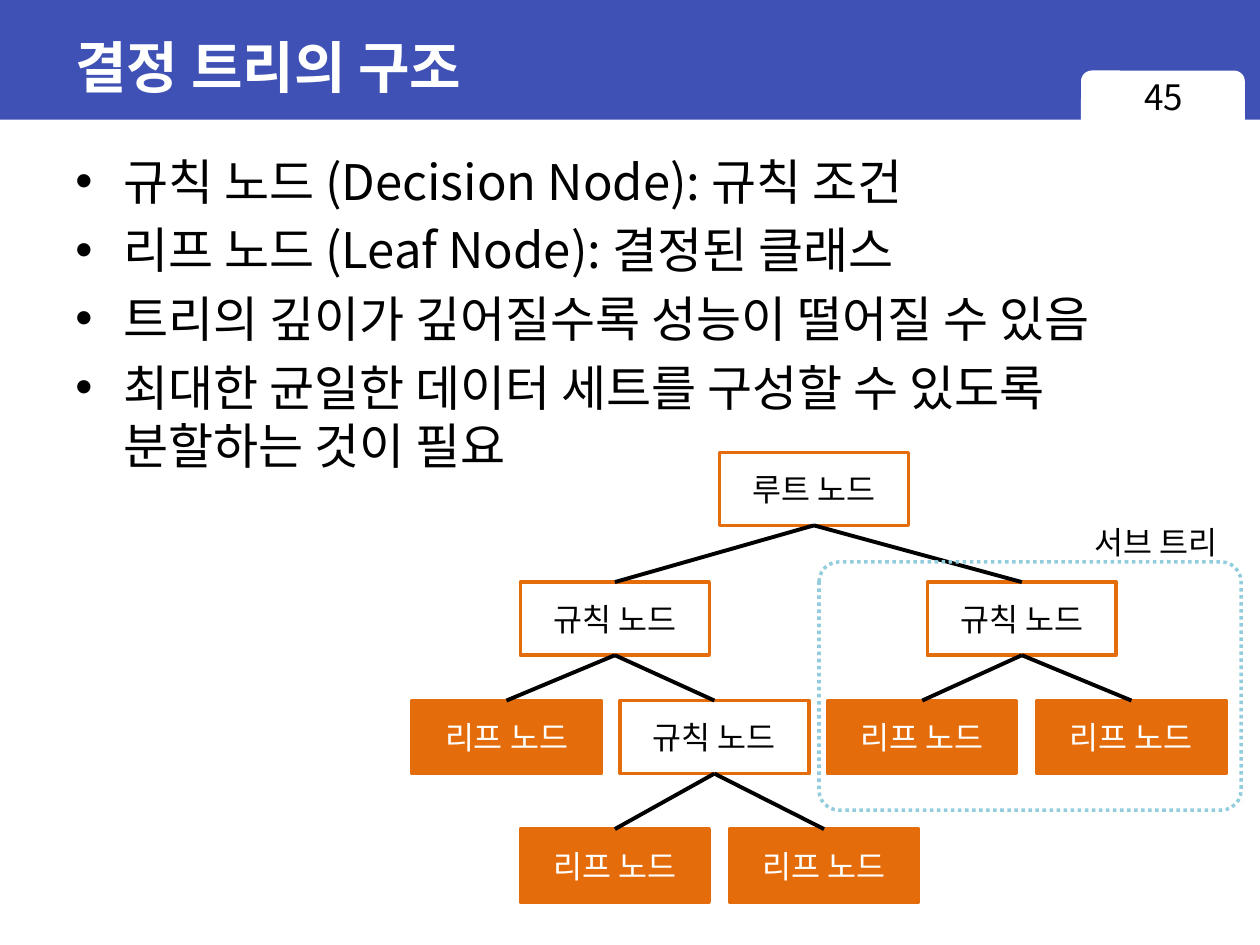
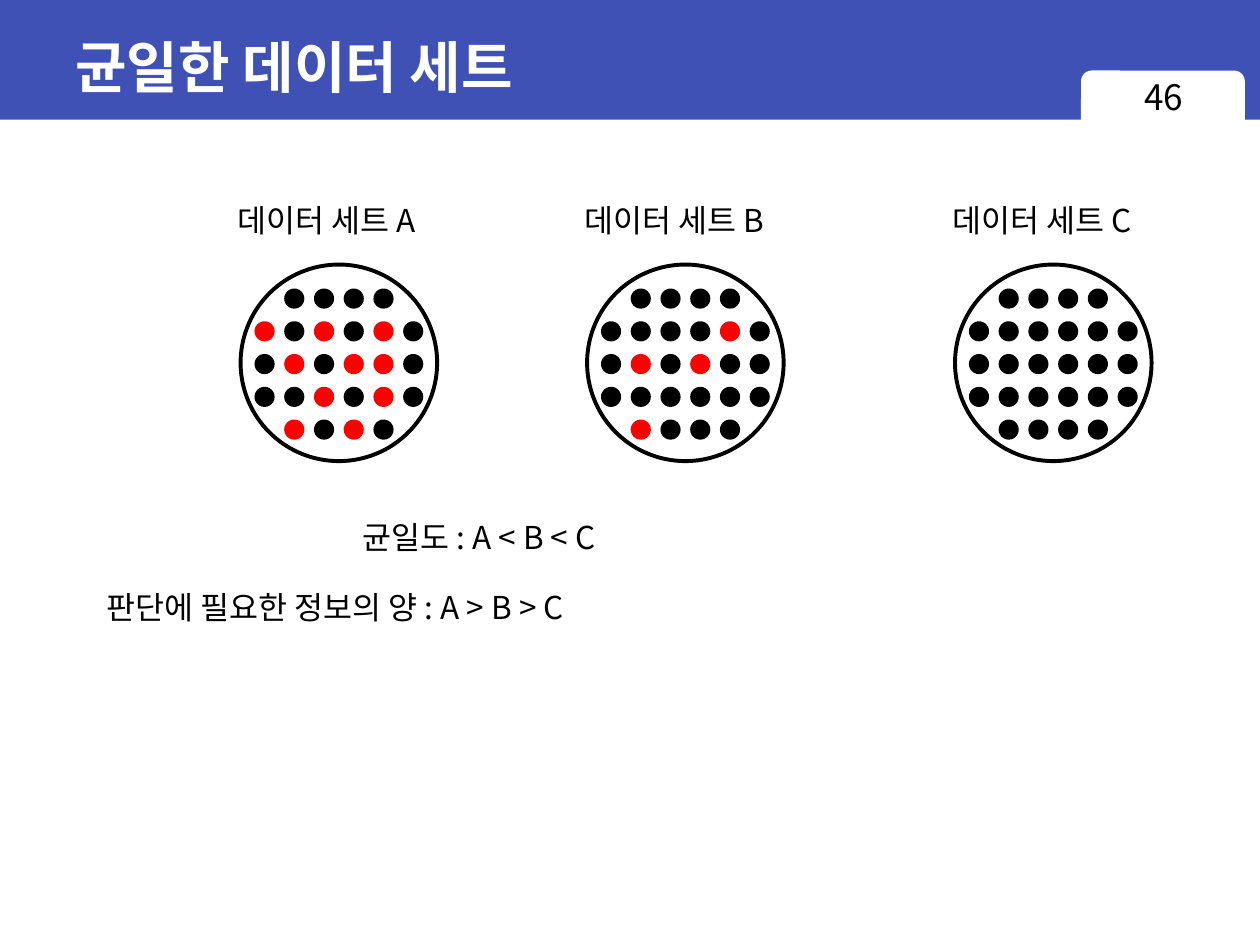
from dataclasses import dataclass
from typing import Any, NamedTuple

from lxml import etree
from pptx import Presentation
from pptx import util as u
from pptx.dml import color as col
from pptx.enum import dml, shapes, text
from pptx.oxml import ns

KIND = shapes.MSO_SHAPE
MID = text.MSO_ANCHOR.MIDDLE
CENTER = text.PP_ALIGN.CENTER


# Theme
@dataclass(frozen=True)
class Theme:
    blue: str = "3F51B5"
    orange: str = "E46C0A"
    sky: str = "93CDDD"
    red: str = "FF0000"
    black: str = "000000"
    white: str = "FFFFFF"
    font: str = "Noto Sans CJK KR"
    head: str = "Arial"
    title: int = 32
    body: int = 28
    page: int = 20
    label: int = 18
    edge: float = 2
    line: float = 2.25


T = Theme()


class Box(NamedTuple):
    x: float
    y: float
    w: float
    h: float


class Node(NamedTuple):
    key: str
    x: float
    row: int
    up: str
    leaf: bool


class Data(NamedTuple):
    name: str
    x: float
    rows: tuple[str, ...]


# Helpers
def rgb(code: str) -> col.RGBColor:
    return col.RGBColor.from_string(code)


def apply(obj: Any, vals: dict[str, Any]) -> None:
    for key, val in vals.items():
        setattr(obj, key, val)


def place(box: Box) -> list[u.Length]:
    return [u.Inches(v) for v in box]


def write(para: Any, words: str, size: int, color: str = T.black,
          font: str = T.font, bold: bool = False) -> None:
    run = para.add_run()
    run.text = words
    apply(run.font, {"size": u.Pt(size), "name": font, "bold": bold})
    run.font.color.rgb = rgb(color)
    east = etree.SubElement(run.font._element, ns.qn("a:ea"))
    east.set("typeface", T.font)


def shape(host: Any, kind: Any, box: Box, fill: str = "",
          edge: str = "", width: float = T.edge) -> Any:
    item = host.add_shape(kind, *place(box))
    item.shadow.inherit = False
    if fill:
        item.fill.solid()
        item.fill.fore_color.rgb = rgb(fill)
    else:
        item.fill.background()
    if edge:
        item.line.color.rgb = rgb(edge)
        item.line.width = u.Pt(width)
    else:
        item.line.fill.background()
    return item


def label(slide: Any, words: str, box: Box) -> None:
    frame = slide.shapes.add_textbox(*place(box)).text_frame
    apply(frame, {"word_wrap": False,
                  "auto_size": text.MSO_AUTO_SIZE.SHAPE_TO_FIT_TEXT})
    write(frame.paragraphs[0], words, T.label)


def link(slide: Any, top: Any, low: Any) -> None:
    line = slide.shapes.add_connector(shapes.MSO_CONNECTOR.STRAIGHT, 0, 0, 0, 0)
    line.begin_connect(top, 2)
    line.end_connect(low, 0)
    line.line.color.rgb = rgb(T.black)
    line.line.width = u.Pt(T.line)
    etree.SubElement(line._element.spPr, ns.qn("a:effectLst"))


# Shared band, title and page tab
def start(deck: Any, title: str, page: int) -> Any:
    slide = deck.slides.add_slide(deck.slide_layouts[6])
    shape(slide.shapes, KIND.RECTANGLE, Box(0, 0, 10, 0.95), T.blue)
    shape(slide.shapes, KIND.ROUNDED_RECTANGLE, Box(8.58, 0.56, 1.3, 0.51), T.white)
    frame = slide.shapes.add_textbox(*place(Box(0.5, 0.11, 9, 0.83))).text_frame
    apply(frame, {"word_wrap": True, "vertical_anchor": MID})
    write(frame.paragraphs[0], title, T.title, T.white, T.head, True)
    frame = slide.shapes.add_textbox(*place(Box(8.58, 0.55, 1.31, 0.52))).text_frame
    frame.word_wrap = True
    frame.paragraphs[0].alignment = CENTER
    write(frame.paragraphs[0], str(page), T.page)
    return slide


# Slide 1: bullets and tree
POINTS = (
    ("규칙 노드 (Decision Node): 규칙 조건",),
    ("리프 노드 (Leaf Node): 결정된 클래스",),
    ("트리의 깊이가 깊어질수록 성능이 떨어질 수 있음",),
    ("최대한 균일한 데이터 세트를 구성할 수 있도록", "분할하는 것이 필요"),
)
LEVELS = (3.59, 4.62, 5.56, 6.58)
NODES = (
    Node("root", 5.71, 0, "", False),
    Node("left", 4.13, 1, "root", False),
    Node("right", 7.36, 1, "root", False),
    Node("leaf1", 3.27, 2, "left", True),
    Node("inner", 4.92, 2, "left", False),
    Node("leaf2", 6.57, 2, "right", True),
    Node("leaf3", 8.23, 2, "right", True),
    Node("leaf4", 4.13, 3, "inner", True),
    Node("leaf5", 5.79, 3, "inner", True),
)


def bullets(slide: Any) -> None:
    frame = slide.shapes.add_textbox(*place(Box(0.5, 1.15, 9.38, 6.14))).text_frame
    frame.word_wrap = True
    for i, lines in enumerate(POINTS):
        para = frame.add_paragraph() if i else frame.paragraphs[0]
        para.space_before = u.Pt(T.body * 0.2)
        props = para._p.get_or_add_pPr()
        props.set("marL", str(u.Inches(0.38)))
        props.set("indent", str(-u.Inches(0.38)))
        etree.SubElement(props, ns.qn("a:buFont")).set("typeface", T.head)
        etree.SubElement(props, ns.qn("a:buChar")).set("char", "•")
        for j, words in enumerate(lines):
            if j:
                para.add_line_break()
            write(para, words, T.body)


def tree(slide: Any) -> None:
    boxes: dict[str, Any] = {}
    for node in NODES:
        fill, ink = (T.orange, T.white) if node.leaf else (T.white, T.black)
        item = shape(slide.shapes, KIND.RECTANGLE,
                     Box(node.x, LEVELS[node.row], 1.5, 0.58), fill, T.orange)
        item.text_frame.vertical_anchor = MID
        para = item.text_frame.paragraphs[0]
        para.alignment = CENTER
        kind = "리프" if node.leaf else "규칙" if node.up else "루트"
        write(para, f"{kind} 노드", T.label, ink)
        boxes[node.key] = item
    for node in NODES:
        if node.up:
            link(slide, boxes[node.up], boxes[node.key])
    area = shape(slide.shapes, KIND.ROUNDED_RECTANGLE,
                 Box(6.5, 4.46, 3.35, 1.97), edge=T.sky)
    area.adjustments[0] = 0.08
    area.line.dash_style = dml.MSO_LINE.ROUND_DOT
    label(slide, "서브 트리", Box(8.59, 4.1, 1.3, 0.4))


# Slide 2: data sets, one letter per dot (k black, r red, - none)
FULL = "kkkkkk"
ENDS = "-kkkk-"
SETS = (
    Data("A", 1.91, (ENDS, "rkrkrk", "krkrrk", "kkrkrk", "-rkrk-")),
    Data("B", 4.66, (ENDS, "kkkkrk", "krkrkk", FULL, "-rkkk-")),
    Data("C", 7.58, (ENDS, FULL, FULL, FULL, ENDS)),
)
INKS = {"k": T.black, "r": T.red}
STEP = 1.18 / 5


def dots(slide: Any, data: Data) -> None:
    label(slide, f"데이터 세트 {data.name}", Box(data.x - 0.12, 1.55, 1.8, 0.4))
    shape(slide.shapes, KIND.OVAL, Box(data.x, 2.1, 1.56, 1.56),
          edge=T.black, width=T.line)
    for i, row in enumerate(data.rows):
        group = slide.shapes.add_group_shape()
        for j, mark in enumerate(row):
            if mark in INKS:
                spot = Box(data.x + 0.11 + j * STEP, 2.29 + i * 0.26, 0.16, 0.16)
                shape(group.shapes, KIND.OVAL, spot, INKS[mark])


def main() -> None:
    deck = Presentation()
    apply(deck, {"slide_width": u.Inches(10), "slide_height": u.Inches(7.5)})
    slide = start(deck, "결정 트리의 구조", 45)
    bullets(slide)
    tree(slide)
    slide = start(deck, "균일한 데이터 세트", 46)
    for data in SETS:
        dots(slide, data)
    label(slide, "균일도 : A < B < C", Box(2.78, 4.06, 2.38, 0.4))
    label(slide, "판단에 필요한 정보의 양 : A > B > C", Box(0.75, 4.62, 4.41, 0.4))
    deck.save("out.pptx")


if __name__ == "__main__":
    main()
